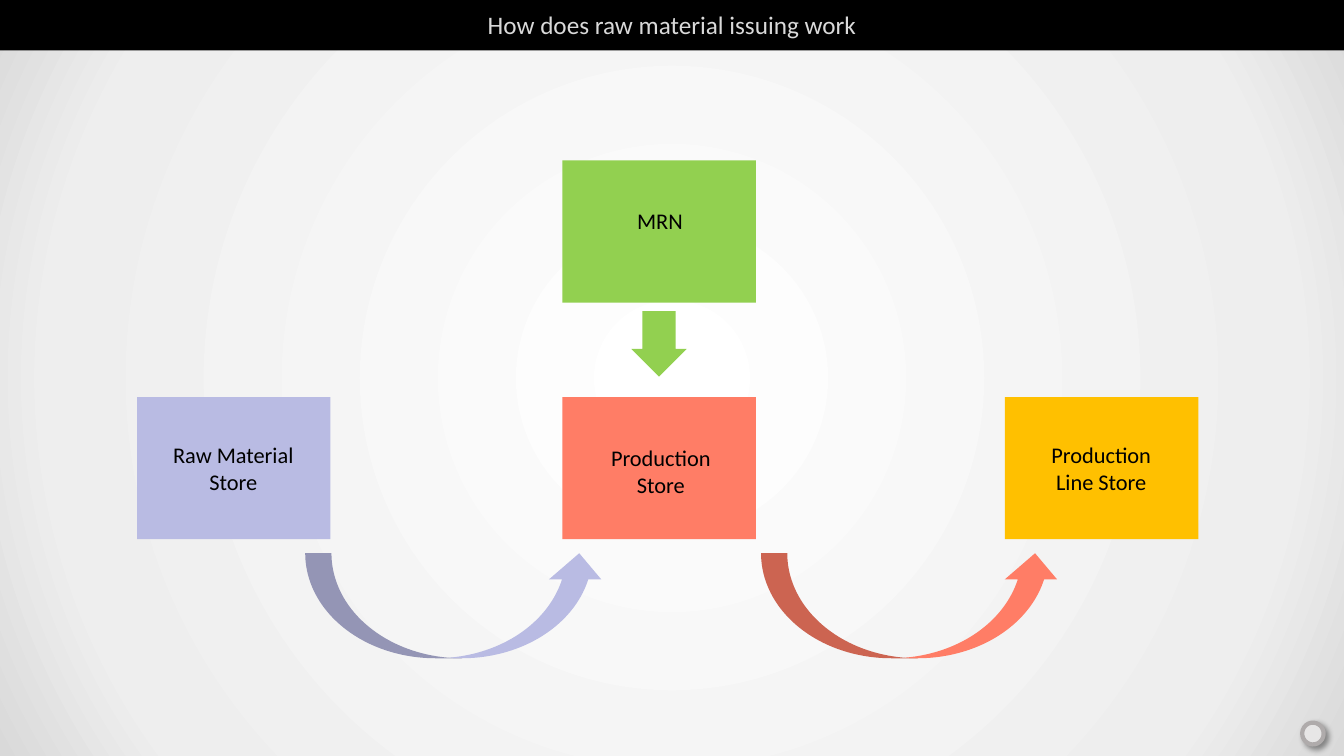
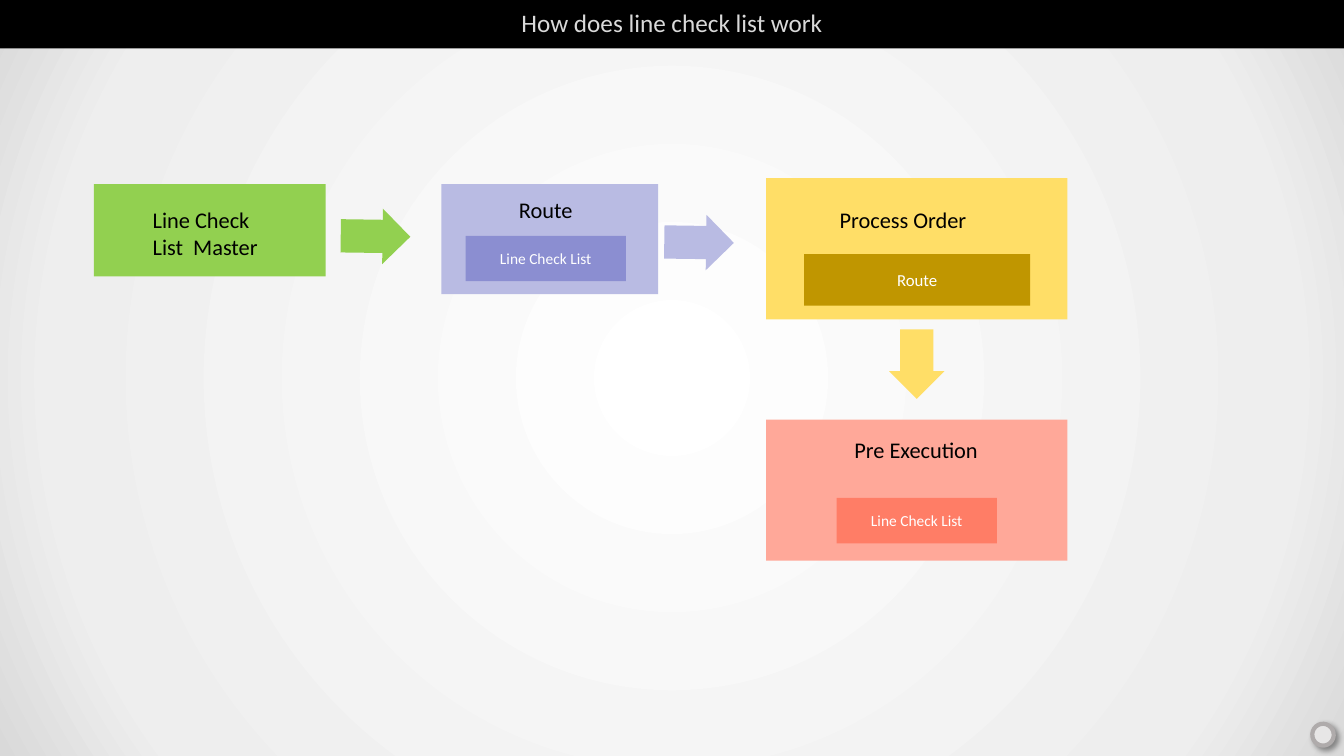
"""Builds two process-flow slides on stock issuing and line checks."""
from lxml import etree
from pptx import Presentation
from pptx.dml.color import RGBColor
from pptx.enum.shapes import MSO_SHAPE
from pptx.enum.text import MSO_ANCHOR, MSO_AUTO_SIZE, PP_ALIGN
from pptx.oxml import parse_xml
from pptx.oxml.ns import nsdecls, qn
from pptx.util import Pt

RECTANGLE, OVAL = MSO_SHAPE.RECTANGLE, MSO_SHAPE.OVAL
RIGHT_ARROW, CURVED_ARROW = MSO_SHAPE.RIGHT_ARROW, MSO_SHAPE.CURVED_UP_ARROW
CENTER, LEFT, MIDDLE = PP_ALIGN.CENTER, PP_ALIGN.LEFT, MSO_ANCHOR.MIDDLE
NO_FIT, GROW = MSO_AUTO_SIZE.NONE, MSO_AUTO_SIZE.SHAPE_TO_FIT_TEXT

PAGE_SIZE = (960, 540)
FONT = "Calibri"
TITLE_ONLY = 5
COLORS = {
    "black": "000000", "white": "FFFFFF", "title": "D9D9D9",
    "ring": "E7E6E6", "ring_line": "AFABAB",
    "green": "92D050", "lavender": "B9BBE3", "violet": "8B8ED1",
    "coral": "FF7D66", "pink": "FFA899",
    "amber": "FFC000", "yellow": "FFDE67", "ochre": "C09600",
}
BACKGROUND_STOPS = [(0, "FFFFFF"), (81, "EEEEEE"), (100, "D9D9D9")]


def color(name):
    """Return the named palette colour."""
    return RGBColor.from_string(COLORS[name])


def lengths(box):
    """Turn a box in points into lengths."""
    return [Pt(value) for value in box]


def style(para, size, ink, align):
    """Set the font and alignment of a paragraph."""
    para.alignment = align
    para.font.name = FONT
    para.font.size = Pt(size)
    para.font.color.rgb = color(ink)


def set_background(master):
    """Give the slide master the radial grey gradient."""
    stops = "".join(
        f'<a:gs pos="{place * 1000}"><a:srgbClr val="{shade}"/></a:gs>'
        for place, shade in BACKGROUND_STOPS)
    gradient = parse_xml(
        f'<a:gradFill {nsdecls("a")} rotWithShape="1"><a:gsLst>{stops}</a:gsLst>'
        '<a:path path="circle"><a:fillToRect l="50000" t="50000" r="50000" b="50000"/>'
        '</a:path></a:gradFill>')
    master.background.fill.solid()
    properties = master.element.find(".//" + qn("p:bgPr"))
    properties.replace(properties[0], gradient)


def add_block(page, kind, box, fill, turn=0):
    """Add a flat shape without outline."""
    block = page.shapes.add_shape(kind, *lengths(box))
    block.shadow.inherit = False
    block.fill.solid()
    block.fill.fore_color.rgb = color(fill)
    block.line.fill.background()
    block.rotation = turn
    return block


def add_arrow(page, box, fill, turn):
    """Add a block arrow turned clockwise from pointing right."""
    arrow = add_block(page, RIGHT_ARROW, box, fill, turn)
    arrow.adjustments[0], arrow.adjustments[1] = 0.6, 0.5


def add_ring(page, left, top):
    """Add the small raised ring in the lower right corner."""
    ring = add_block(page, OVAL, (left, top, 15.3, 15.6), "ring", 348.9)
    ring.line.color.rgb = color("ring_line")
    ring.line.width = Pt(3)
    effects = ring.element.spPr.find(qn("a:effectLst"))
    shadow = etree.SubElement(effects, qn("a:outerShdw"), blurRad=str(Pt(4)),
                              dist=str(Pt(3)), dir="2700000", algn="tl", rotWithShape="0")
    shade = etree.SubElement(shadow, qn("a:srgbClr"), val=COLORS["black"])
    etree.SubElement(shade, qn("a:alpha"), val="40000")


def add_page(deck, title, band_top, ring_at):
    """Add a slide with its black title band and corner ring."""
    page = deck.slides.add_slide(deck.slide_layouts[TITLE_ONLY])
    band = page.shapes.title
    band.left, band.top, band.width, band.height = lengths(
        (0, band_top, PAGE_SIZE[0], 36.8))
    band.fill.solid()
    band.fill.fore_color.rgb = color("black")
    frame = band.text_frame
    frame.text = title
    frame.auto_size = NO_FIT
    frame.vertical_anchor = MIDDLE
    style(frame.paragraphs[0], 18, "title", CENTER)
    add_ring(page, *ring_at)
    return page


def add_label(page, left, top, width, lines, align):
    """Add a black caption, wrapped only when it is left aligned."""
    height = 7.2 + 19.5 * len(lines)
    label = page.shapes.add_textbox(*lengths((left, top, width, height)))
    frame = label.text_frame
    frame.word_wrap = align == LEFT
    frame.auto_size = GROW
    frame.text = "\n".join(lines)
    for para in frame.paragraphs:
        style(para, 16, "black", align)


def add_card(page, box, fill, lines, label_box, align):
    """Add a coloured card with a caption placed from its corner."""
    add_block(page, RECTANGLE, box, fill)
    across, down, width = label_box
    add_label(page, box[0] + across, box[1] + down, width, lines, align)


def add_chip(page, card, box, fill, text, size):
    """Add a captioned bar placed from the corner of its card."""
    across, down, width, height = box
    chip = add_block(page, RECTANGLE, (card[0] + across, card[1] + down, width, height), fill)
    frame = chip.text_frame
    frame.text = text
    frame.word_wrap = True
    frame.vertical_anchor = MIDDLE
    style(frame.paragraphs[0], size, "white", CENTER)


def build_issuing(deck):
    """Build the slide on raw material issuing."""
    page = add_page(deck, "How does raw material issuing work", -0.7, (930.2, 516.2))
    width, height, row = 138.2, 101.5, 283.7
    stores = [
        (97.9, row, "lavender", ["Raw Material", "Store"], (18, 28, 101.5)),
        (401.7, row, "coral", ["Production", "Store"], (25, 30, 90.7)),
        (717.8, row, "amber", ["Production", "Line Store"], (23.5, 28, 90.7)),
        (401.7, 114.6, "green", ["MRN"], (46, 29.5, 47.5)),
    ]
    for left, top, fill, lines, label_box in stores:
        add_card(page, (left, top, width, height), fill, lines, label_box, CENTER)
    add_arrow(page, (447.3, 225.9, 46.8, 39.6), "green", 90)
    for left, fill in ((218, "lavender"), (543.6, "coral")):
        add_block(page, CURVED_ARROW, (left, 395.2, 214.5, 75), fill)


def build_check_list(deck):
    """Build the slide on the line check list."""
    page = add_page(deck, "How does line check list work", -2.3, (937.4, 517))
    master = (67, 131.5, 165.6, 66)
    route = (315.3, 131.5, 154.8, 78.7)
    order = (547.2, 127.3, 215.3, 100.8)
    execution = (547.2, 299.7, 215.3, 100.8)
    cards = [
        (master, "green", ["Line Check", "List  Master"], (35, 12.3, 110)),
        (route, "lavender", ["Route"], (48.3, 5.3, 100)),
        (order, "yellow", ["Process Order"], (45.5, 16.7, 160)),
        (execution, "pink", ["Pre Execution"], (56, 8, 150)),
    ]
    for box, fill, lines, label_box in cards:
        add_card(page, box, fill, lines, label_box, LEFT)
    chips = [
        (route, (17.3, 37, 114.5, 32.4), "violet", "Line Check List", 11),
        (order, (27.3, 54.3, 161.3, 36.7), "ochre", "Route", 12),
        (execution, (50.4, 56, 114.5, 32.4), "coral", "Line Check List", 11),
    ]
    for chip in chips:
        add_chip(page, *chip)
    arrows = [
        (243.4, 149, "green", 0.8),
        (474.5, 153.4, "lavender", 0.8),
        (630, 240.3, "yellow", 90),
    ]
    for left, top, fill, turn in arrows:
        add_arrow(page, (left, top, 49.7, 39.6), fill, turn)


def main():
    """Build and save the deck."""
    deck = Presentation()
    deck.slide_width, deck.slide_height = lengths(PAGE_SIZE)
    set_background(deck.slide_master)
    build_issuing(deck)
    build_check_list(deck)
    deck.save("out.pptx")


if __name__ == "__main__":
    main()
